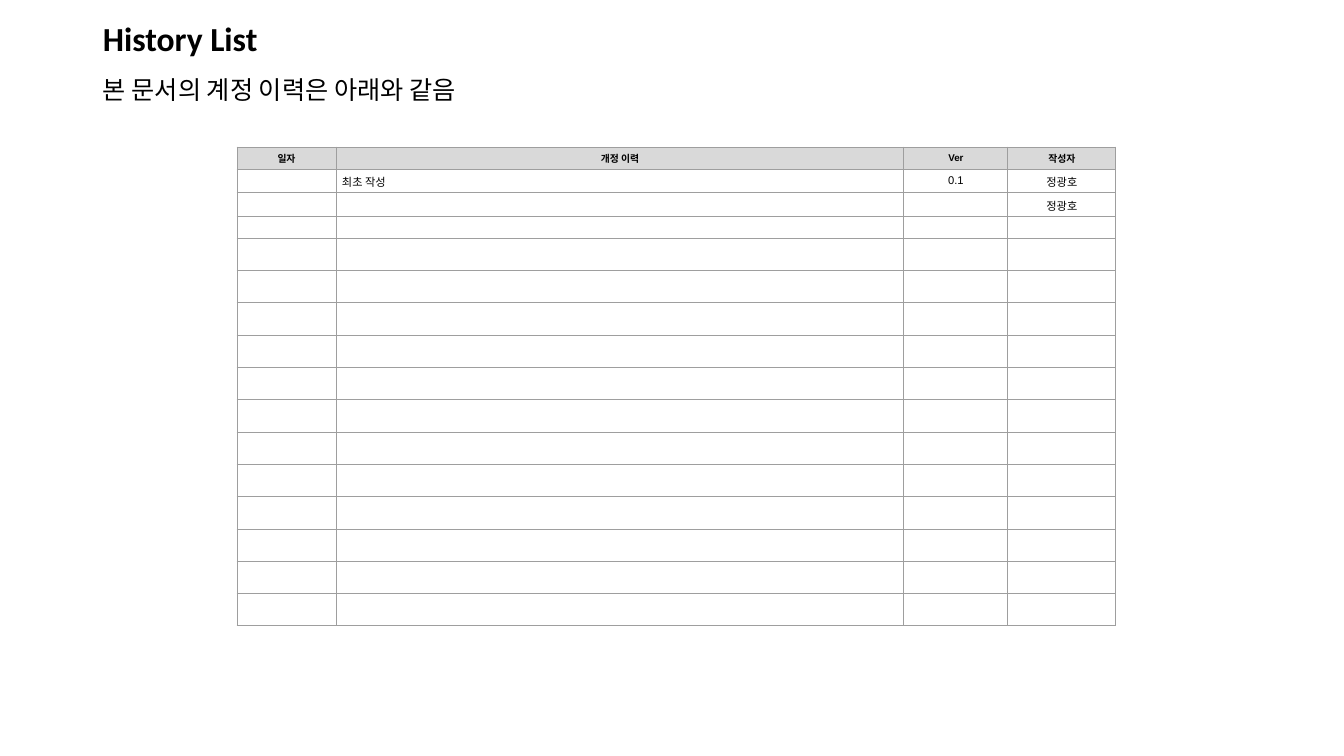
from dataclasses import dataclass

from lxml.etree import SubElement as Sub
from pptx import Presentation
from pptx.dml.color import RGBColor as RGB
from pptx.enum.text import MSO_ANCHOR as Anchor, PP_ALIGN as Align
from pptx.oxml.ns import qn
from pptx.util import Emu, Pt


@dataclass
class Theme:
    ink: RGB = RGB(0, 0, 0)
    page: RGB = RGB(255, 255, 255)
    head: RGB = RGB(0xD9, 0xD9, 0xD9)
    rule: str = "9E9E9E"
    title: int = 24
    lead: int = 18
    label: int = 7
    cell: int = 8
    sans: str = "Calibri"
    grid: str = "Arial"


theme = Theme()
SCALE = 914400 / 100.8


def px(n):
    return Emu(round(n * SCALE))


def style(para, face, size, bold=False):
    font = para.font
    font.name, font.size, font.bold = face, Pt(size), bold
    font.color.rgb = theme.ink


deck = Presentation()
deck.slide_width, deck.slide_height = px(1344), px(756)
slide = deck.slides.add_slide(deck.slide_layouts[6])

# Title and lead line
lines = [
    ("History List", 15, 52, theme.title, True, 0),
    ("본 문서의 계정 이력은 아래와 같음", 71, 40, theme.lead, False, 10),
]
for text, top, high, size, bold, gap in lines:
    frame = slide.shapes.add_textbox(px(93), px(top), px(1159), px(high)).text_frame
    frame.word_wrap = True
    frame.vertical_anchor = Anchor.MIDDLE
    para = frame.paragraphs[0]
    para.text = text
    para.line_spacing = 0.9
    para.space_before = Pt(gap)
    style(para, theme.sans, size, bold)

# History table: four short rows, then twelve equal ones
wide = [99, 568, 104, 108]
tall = [22, 24, 24, 21] + [388 / 12] * 12
data = [
    ["일자", "개정 이력", "Ver", "작성자"],
    ["", "최초 작성", "0.1", "정광호"],
    ["", "", "", "정광호"],
]
data += [[""] * len(wide)] * (len(tall) - len(data))
table = slide.shapes.add_table(
    len(tall), len(wide), px(237), px(147), px(sum(wide)), px(sum(tall))
).table
table.first_row = table.horz_banding = False
for col, w in zip(table.columns, wide):
    col.width = px(w)

for r, (row, h) in enumerate(zip(table.rows, tall)):
    row.height = px(h)
    top = r == 0
    size = theme.label if top else theme.cell
    for c, cell in enumerate(row.cells):
        left = c == 1 and not top
        cell.vertical_anchor = Anchor.MIDDLE
        cell.margin_left = px(6 if left else 8)
        cell.margin_right = px(8)
        cell.margin_top = cell.margin_bottom = px(4)

        # Cell text
        para = cell.text_frame.paragraphs[0]
        para.alignment = Align.LEFT if left else Align.CENTER
        style(para, theme.grid, size, top)
        if data[r][c]:
            para.text = data[r][c]
        else:
            Sub(para._p, qn("a:endParaRPr"), sz=str(size * 100))

        # Cell borders and fill
        props = cell._tc.get_or_add_tcPr()
        for side in "LRTB":
            line = Sub(props, qn(f"a:ln{side}"), w=str(Pt(0.75)))
            Sub(Sub(line, qn("a:solidFill")), qn("a:srgbClr"), val=theme.rule)
        cell.fill.solid()
        cell.fill.fore_color.rgb = theme.head if top else theme.page

deck.save("out.pptx")
